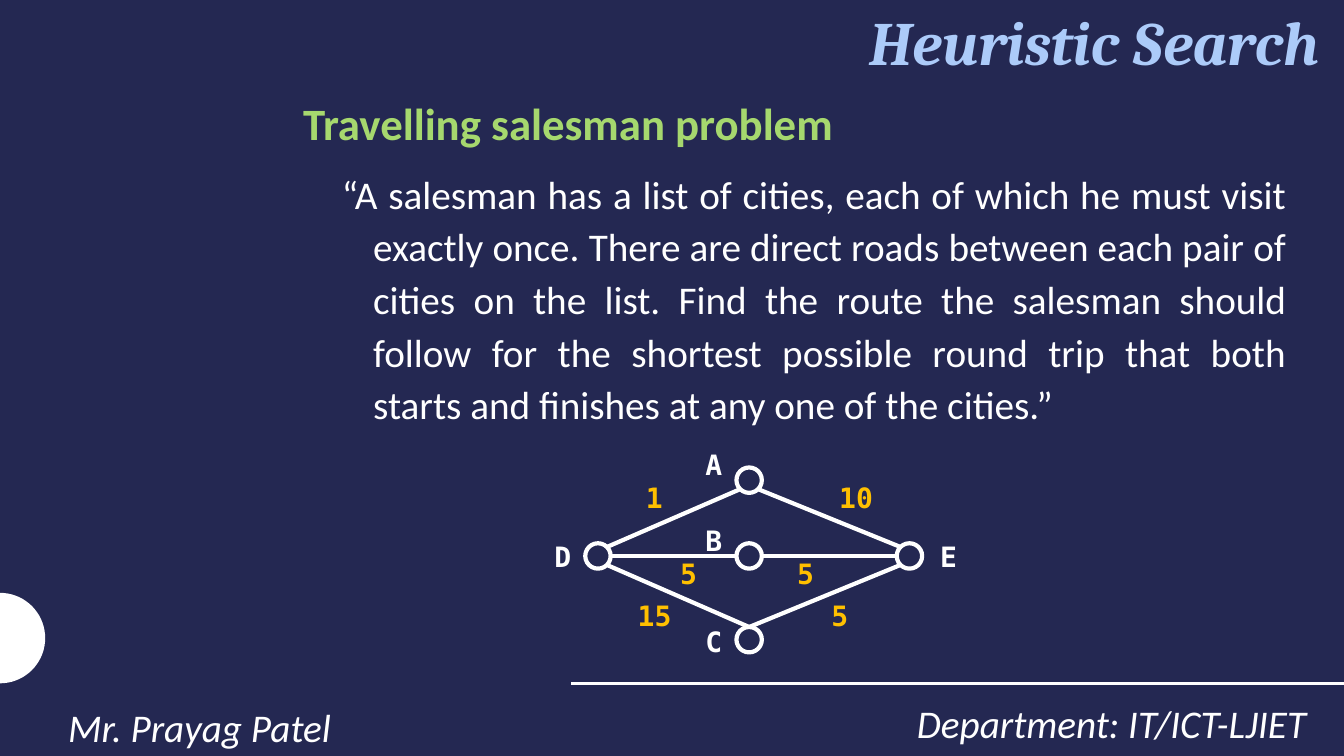
from math import cos, pi, radians, sin

from lxml.etree import SubElement
from pptx import Presentation
from pptx.dml.color import RGBColor
from pptx.enum.shapes import MSO_CONNECTOR, MSO_SHAPE
from pptx.enum.text import MSO_ANCHOR, MSO_AUTO_SIZE, PP_ALIGN
from pptx.oxml.ns import qn
from pptx.util import Cm, Pt

HUES = {"navy": "242852", "white": "FFFFFF", "sky": "ACCBF9", "green": "A6D86E", "gold": "FFC000"}
TINT = {name: RGBColor.from_string(code) for name, code in HUES.items()}


def write(box, area, text, face, size, hue, bold=False, slant=False, align=PP_ALIGN.LEFT, pitch=1.0):
    box.left, box.top, box.width, box.height = [Cm(n) for n in area]
    frame = box.text_frame
    frame.word_wrap = True
    frame.auto_size = MSO_AUTO_SIZE.NONE
    frame.vertical_anchor = MSO_ANCHOR.TOP
    para = frame.paragraphs[0]
    para.alignment = align
    para.line_spacing = pitch
    para.space_before = Pt(0)
    run = para.add_run()
    run.text = text
    font = run.font
    font.name, font.size, font.bold, font.italic = face, Pt(size), bold, slant
    font.color.rgb = TINT[hue]
    return para


def wire(start, end, width):
    line = slide.shapes.add_connector(MSO_CONNECTOR.STRAIGHT, *[Cm(n) for n in (*start, *end)])
    line.line.color.rgb = TINT["white"]
    line.line.width = Pt(width)
    SubElement(line._element.spPr, qn("a:effectLst"))


deck = Presentation()
deck.slide_width, deck.slide_height = Cm(33.87), Cm(19.05)
slide = deck.slides.add_slide(deck.slide_layouts[1])
slide.background.fill.solid()
slide.background.fill.fore_color.rgb = TINT["navy"]
shapes = slide.shapes

mid, bulge = 16.08, 1.14
arc = [radians(-90 + 5 * step) for step in range(37)]
rim = [(Cm(bulge * cos(turn)), Cm(mid + bulge * sin(turn))) for turn in arc]
pen = shapes.build_freeform(*rim[0])
pen.add_line_segments(rim[1:], close=True)
disc = pen.convert_to_shape()
disc.shadow.inherit = False
disc.fill.solid()
disc.fill.fore_color.rgb = TINT["white"]
disc.line.fill.background()

wire((14.4, 17.22), (33.87, 17.22), 2)

write(shapes.title, (5.41, -0.03, 28.09, 2.29), "Heuristic Search", "Cambria", 44, "sky",
      bold=True, slant=True, align=PP_ALIGN.RIGHT)

quote = (
    "“A salesman has a list of cities, each of which he must visit exactly once. "
    "There are direct roads between each pair of cities on the list. "
    "Find the route the salesman should follow for the shortest possible round trip "
    "that both starts and finishes at any one of the cities.”"
)
para = write(slide.placeholders[1], (8.36, 4.01, 24.31, 11.43), quote, "Calibri", 28, "white",
             align=PP_ALIGN.JUSTIFY, pitch=1.12)
props = para._p.get_or_add_pPr()
props.set("marL", str(Cm(0.79)))
props.set("indent", str(-Cm(0.79)))
SubElement(props, qn("a:buNone"))

texts = [
    ((7.39, 2.29, 14, 1.63), "Travelling salesman problem", 32, "green", True, False, PP_ALIGN.LEFT, 1.0),
    ((20.52, 17.32, 12.65, 1.6), "Department: IT/ICT-LJIET", 28, "white", False, True, PP_ALIGN.RIGHT, 1.14),
    ((1.47, 17.42, 18, 1.6), "Mr. Prayag Patel", 28, "white", False, True, PP_ALIGN.LEFT, 1.14),
]
for area, text, *look in texts:
    write(shapes.add_textbox(0, 0, 0, 0), area, text, "Calibri", *look)

radius = 0.32
towns = {
    "A": (18.88, 12.1),
    "B": (18.88, 14.01),
    "C": (18.88, 16.12),
    "D": (15.07, 14.01),
    "E": (22.92, 14.01),
}
for x, y in towns.values():
    ring = shapes.add_shape(MSO_SHAPE.OVAL, Cm(x - radius), Cm(y - radius), Cm(2 * radius), Cm(2 * radius))
    ring.shadow.inherit = False
    ring.fill.background()
    ring.line.color.rgb = TINT["white"]
    ring.line.width = Pt(3)

roads = [
    (("A", 135), ("D", 315)),
    (("D", 45), ("C", 270)),
    (("A", 45), ("E", 225)),
    (("C", 270), ("E", 135)),
    (("D", 0), ("B", 180)),
    (("B", 0), ("E", 180)),
]
for road in roads:
    ends = []
    for town, turn in road:
        x, y = towns[town]
        ends.append((x + radius * cos(radians(turn)), y + radius * sin(radians(turn))))
    wire(*ends, 3)

labels = [
    ("A", 17.53, 11.15, "white"),
    ("B", 17.53, 13.06, "white"),
    ("C", 17.53, 15.6, "white"),
    ("D", 13.72, 13.46, "white"),
    ("E", 23.44, 13.46, "white"),
    ("1", 16.03, 11.99, "gold"),
    ("10", 20.9, 11.99, "gold"),
    ("5", 16.89, 13.89, "gold"),
    ("5", 19.84, 13.89, "gold"),
    ("5", 20.7, 14.96, "gold"),
    ("15", 15.82, 14.96, "gold"),
]
for text, x, y, hue in labels:
    area = (x, y, 0.67 + 0.4 * len(text), 1.09)
    write(shapes.add_textbox(0, 0, 0, 0), area, text, "DejaVu Sans Mono", 20, hue, bold=True)

deck.save("out.pptx")
